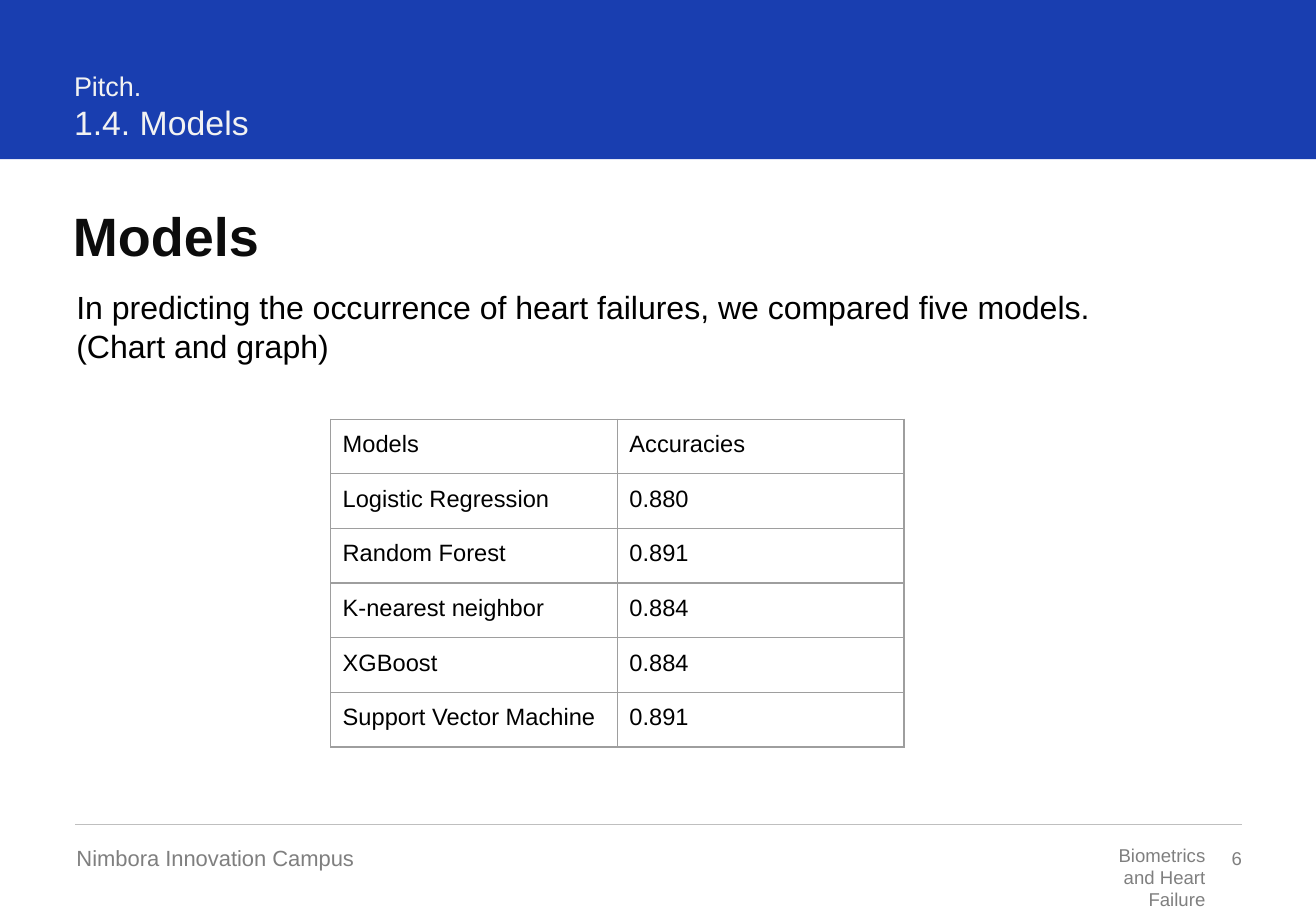
import lxml.etree
import pptx
import pptx.dml.color
import pptx.enum.shapes
import pptx.enum.text
import pptx.oxml.ns
import pptx.util

Inches = pptx.util.Inches
Pt = pptx.util.Pt
qn = pptx.oxml.ns.qn
Align = pptx.enum.text.PP_ALIGN
Anchor = pptx.enum.text.MSO_ANCHOR

COLORS = {
    "banner": "193EB0",
    "banner_text": "F2F2F2",
    "heading": "0C0C0C",
    "body": "000000",
    "footer": "7F7F7F",
    "rule": "BFBFBF",
    "grid": "9E9E9E",
}

ACCURACIES = [
    ("Models", "Accuracies"),
    ("Logistic Regression", "0.880"),
    ("Random Forest", "0.891"),
    ("K-nearest neighbor", "0.884"),
    ("XGBoost", "0.884"),
    ("Support Vector Machine", "0.891"),
]


def rgb(name):
    return pptx.dml.color.RGBColor.from_string(COLORS[name])


class SlideBuilder:
    font = "Arial"
    line_width = Pt(0.75)

    def __init__(self, slide):
        self.slide = slide

    def add_run(self, paragraph, text, size, color, bold=False):
        run = paragraph.add_run()
        run.text = text
        run.font.name = self.font
        run.font.size = Pt(size)
        run.font.bold = bold
        run.font.color.rgb = rgb(color)

    def set_margins(self, target, margin):
        target.margin_left = target.margin_right = Inches(margin)
        target.margin_top = target.margin_bottom = Inches(margin)

    def rectangle(self, left, top, width, height, color):
        shape = self.slide.shapes.add_shape(
            pptx.enum.shapes.MSO_SHAPE.RECTANGLE,
            Inches(left), Inches(top), Inches(width), Inches(height))
        shape.shadow.inherit = False
        shape.fill.solid()
        shape.fill.fore_color.rgb = rgb(color)
        shape.line.fill.background()

    def horizontal_rule(self, left, right, top, color):
        connector = self.slide.shapes.add_connector(
            pptx.enum.shapes.MSO_CONNECTOR.STRAIGHT,
            Inches(left), Inches(top), Inches(right), Inches(top))
        connector.line.color.rgb = rgb(color)
        connector.line.width = self.line_width
        lxml.etree.SubElement(connector._element.spPr, qn("a:effectLst"))

    def text(self, left, top, width, height, lines, color, bold=False,
             align=Align.LEFT, anchor=Anchor.TOP, margin=0):
        """Add one paragraph; lines holds (text, size) pairs split by line breaks."""
        box = self.slide.shapes.add_textbox(
            Inches(left), Inches(top), Inches(width), Inches(height))
        frame = box.text_frame
        frame.word_wrap = True
        frame.vertical_anchor = anchor
        self.set_margins(frame, margin)
        paragraph = frame.paragraphs[0]
        paragraph.alignment = align
        for index, (line, size) in enumerate(lines):
            if index:
                paragraph.add_line_break()
            self.add_run(paragraph, line, size, color, bold)

    def border_cell(self, cell, color):
        properties = cell._tc.get_or_add_tcPr()
        for side in ("a:lnL", "a:lnR", "a:lnT", "a:lnB"):
            line = lxml.etree.SubElement(properties, qn(side), w=str(int(self.line_width)))
            fill = lxml.etree.SubElement(line, qn("a:solidFill"))
            lxml.etree.SubElement(fill, qn("a:srgbClr"), val=COLORS[color])

    def table(self, left, top, column_width, row_height, rows, size):
        column_count = len(rows[0])
        table = self.slide.shapes.add_table(
            len(rows), column_count, Inches(left), Inches(top),
            Inches(column_width * column_count), Inches(row_height * len(rows))).table
        table.first_row = table.horz_banding = False
        for column in table.columns:
            column.width = Inches(column_width)
        for row, values in zip(table.rows, rows):
            row.height = Inches(row_height)
            for cell, value in zip(row.cells, values):
                self.set_margins(cell, 0.1)
                self.border_cell(cell, "grid")
                cell.fill.background()
                self.add_run(cell.text_frame.paragraphs[0], value, size, "body")


def main():
    presentation = pptx.Presentation()
    presentation.slide_width = Inches(10.83)
    presentation.slide_height = Inches(7.5)
    builder = SlideBuilder(presentation.slides.add_slide(presentation.slide_layouts[6]))

    builder.rectangle(0, 0, 10.83, 1.31, "banner")
    builder.text(0.61, 0.57, 6.37, 0.61, [("Pitch.", 16), ("1.4. Models", 20)], "banner_text")

    builder.text(0.6, 1.67, 9.62, 0.54, [("Models", 32)], "heading", bold=True)
    builder.table(2.72, 3.45, 2.36, 0.45, ACCURACIES, 14)
    builder.text(
        0.53, 2.27, 9.13, 0.84,
        [("In predicting the occurrence of heart failures, we compared five models. "
          "(Chart and graph)", 19)],
        "body", margin=0.1)

    builder.horizontal_rule(0.62, 10.22, 6.79, "rule")
    builder.text(0.63, 6.95, 3.16, 0.22, [("Nimbora Innovation Campus", 13)], "footer")
    builder.text(9, 6.94, 0.92, 0.56, [("Biometrics and Heart Failure", 11)], "footer",
                 align=Align.RIGHT, anchor=Anchor.MIDDLE)
    builder.text(9.63, 6.97, 0.59, 0.19, [("6", 11)], "footer",
                 align=Align.RIGHT, anchor=Anchor.MIDDLE)

    presentation.save("out.pptx")


if __name__ == "__main__":
    main()
